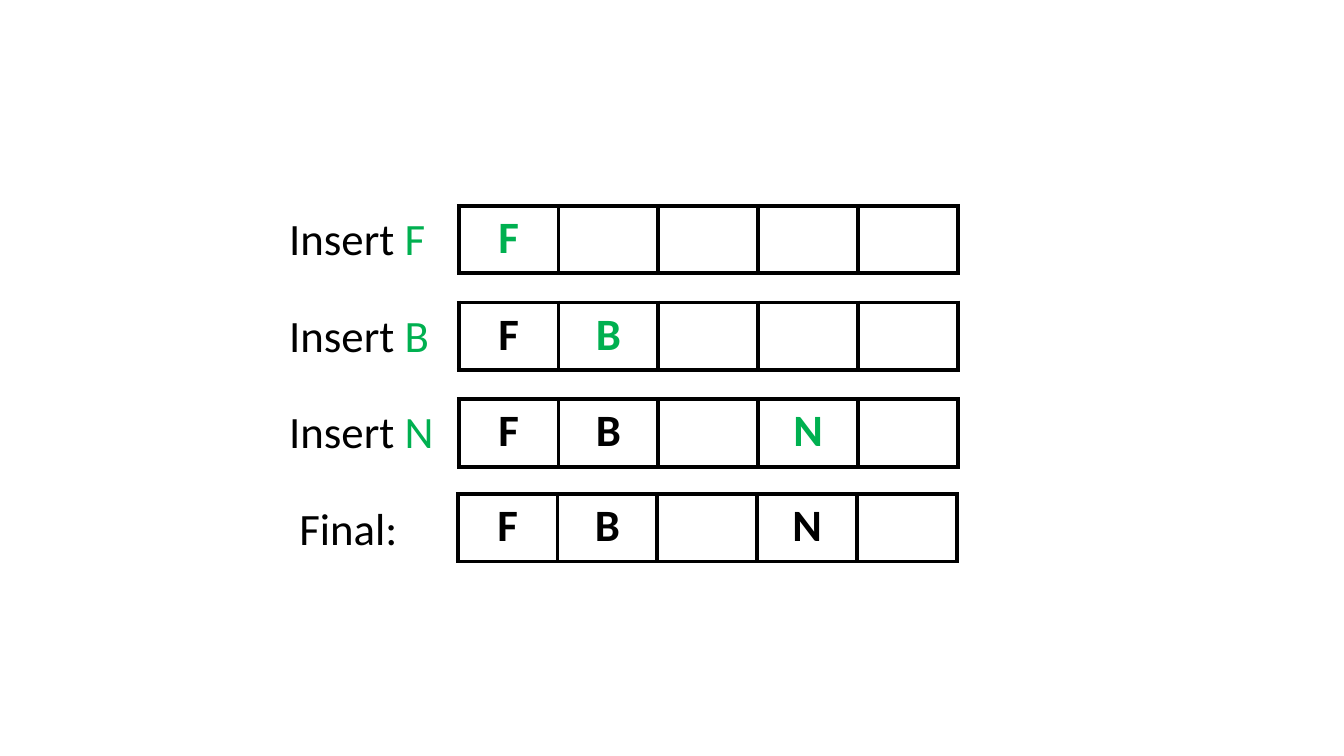
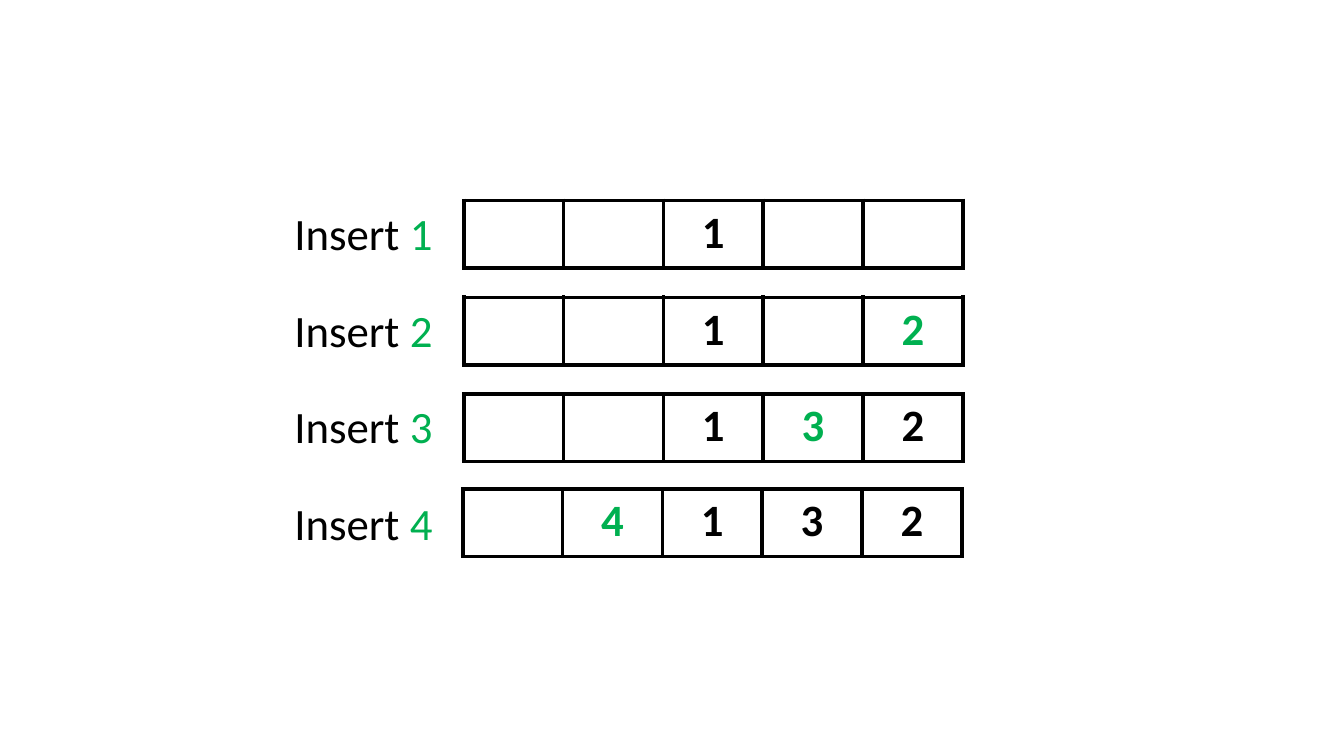
from lxml import etree
from pptx import Presentation
from pptx.dml.color import RGBColor
from pptx.enum.text import MSO_AUTO_SIZE, PP_ALIGN
from pptx.oxml.ns import qn
from pptx.util import Inches, Pt

# Shared style
FONT, SIZE = "Calibri", 32
BLACK, GREEN, WHITE = "000000", "00B050", "FFFFFF"
BORDER = 3

# Shared grid, in inches
COLUMNS = 5
CELL_W, CELL_H = 0.99, 0.67
LABEL_H = 0.64
TABLE_OFFSET = 1.78
ROW_PITCH = 0.96
LAST_NUDGE = (-0.01, -0.02)


def color(value):
    return RGBColor.from_string(value)


def add_run(paragraph, text, tint, bold=False):
    run = paragraph.add_run()
    run.text = text
    run.font.name, run.font.size, run.font.bold = FONT, Pt(SIZE), bold
    run.font.color.rgb = color(tint)


def add_borders(cell):
    properties = cell._tc.get_or_add_tcPr()
    for side in ("a:lnL", "a:lnR", "a:lnT", "a:lnB"):
        line = etree.SubElement(properties, qn(side), w=str(Pt(BORDER)))
        fill = etree.SubElement(line, qn("a:solidFill"))
        etree.SubElement(fill, qn("a:srgbClr"), val=BLACK)


def add_label(slide, left, top, width, parts):
    box = slide.shapes.add_textbox(Inches(left), Inches(top),
                                   Inches(width), Inches(LABEL_H))
    box.text_frame.word_wrap = True
    box.text_frame.auto_size = MSO_AUTO_SIZE.SHAPE_TO_FIT_TEXT
    for text, tint in parts:
        add_run(box.text_frame.paragraphs[0], text, tint)


def add_array(slide, left, top, values, new_value):
    """One-row table; a space in values is an empty slot."""
    frame = slide.shapes.add_table(1, COLUMNS, Inches(left), Inches(top),
                                   Inches(COLUMNS * CELL_W), Inches(CELL_H))
    table = frame.table
    table.first_row = table.horz_banding = False
    for column, value in enumerate(values):
        table.columns[column].width = Inches(CELL_W)
        cell = table.cell(0, column)
        add_borders(cell)
        cell.fill.solid()
        cell.fill.fore_color.rgb = color(WHITE)
        if value != " ":
            paragraph = cell.text_frame.paragraphs[0]
            paragraph.alignment = PP_ALIGN.CENTER
            add_run(paragraph, value, GREEN if value == new_value else BLACK, True)


def add_steps_slide(prs, left, top, label_width, steps):
    """Steps are (inserted key or None, array contents, highlighted value)."""
    slide = prs.slides.add_slide(prs.slide_layouts[6])
    for index, (key, values, new_value) in enumerate(steps):
        row_top = top + index * ROW_PITCH
        # Step label
        if key:
            add_label(slide, left, row_top, label_width,
                      [("Insert ", BLACK), (key, GREEN)])
        else:
            add_label(slide, left + 0.1, row_top, label_width, [("Final:", BLACK)])
        # Array after the step
        dx, dy = LAST_NUDGE if index == len(steps) - 1 else (0, 0)
        add_array(slide, left + TABLE_OFFSET + dx, row_top + dy, values, new_value)


prs = Presentation()
prs.slide_width, prs.slide_height = Inches(13.33), Inches(7.5)

# Letters
add_steps_slide(prs, 2.77, 2.04, 1.96, [
    ("F", "F    ", "F"),
    ("B", "FB   ", "B"),
    ("N", "FB N ", "N"),
    (None, "FB N ", None),
])

# Numbers
add_steps_slide(prs, 2.82, 1.99, 1.69, [
    ("1", "  1  ", None),
    ("2", "  1 2", "2"),
    ("3", "  132", "3"),
    ("4", " 4132", "4"),
])

prs.save("out.pptx")
